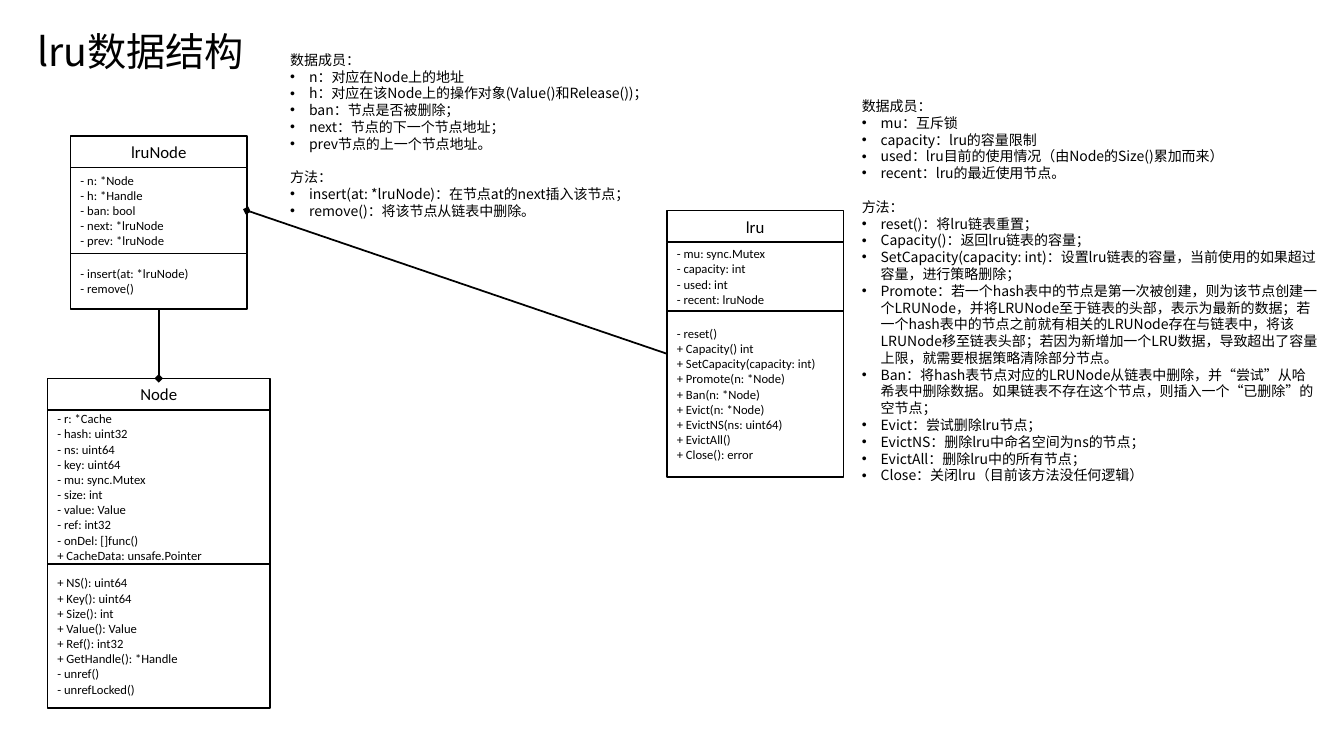
from lxml.etree import SubElement
from pptx import Presentation
from pptx.dml.color import RGBColor
from pptx.enum.lang import MSO_LANGUAGE_ID
from pptx.enum.shapes import MSO_CONNECTOR, MSO_SHAPE
from pptx.enum.text import MSO_ANCHOR, MSO_AUTO_SIZE, PP_ALIGN
from pptx.oxml.ns import qn
from pptx.util import Pt

BLACK, WHITE = "000000", "FFFFFF"
LATIN, CJK = "Calibri", "Noto Sans CJK JP"
NAME_HEIGHT = 22.5
BULLET_INDENT = 13.5

LRU_NODE_FIELDS = ["- n: *Node", "- h: *Handle", "- ban: bool", "- next: *lruNode", "- prev: *lruNode"]
LRU_NODE_METHODS = ["- insert(at: *lruNode)", "- remove()"]
LRU_FIELDS = ["- mu: sync.Mutex", "- capacity: int", "- used: int", "- recent: lruNode"]
LRU_METHODS = [
    "- reset()", "+ Capacity() int", "+ SetCapacity(capacity: int)", "+ Promote(n: *Node)",
    "+ Ban(n: *Node)", "+ Evict(n: *Node)", "+ EvictNS(ns: uint64)", "+ EvictAll()", "+ Close(): error",
]
NODE_FIELDS = [
    "- r: *Cache", "- hash: uint32", "- ns: uint64", "- key: uint64", "- mu: sync.Mutex", "- size: int",
    "- value: Value", "- ref: int32", "- onDel: []func()", "+ CacheData: unsafe.Pointer",
]
NODE_METHODS = [
    "+ NS(): uint64", "+ Key(): uint64", "+ Size(): int", "+ Value(): Value", "+ Ref(): int32",
    "+ GetHandle(): *Handle", "- unref()", "- unrefLocked()",
]
LRU_NODE_NOTES = {
    "数据成员：": [
        "n：对应在Node上的地址",
        "h：对应在该Node上的操作对象(Value()和Release())；",
        "ban：节点是否被删除；",
        "next：节点的下一个节点地址；",
        "prev节点的上一个节点地址。",
    ],
    "方法：": [
        "insert(at: *lruNode)：在节点at的next插入该节点；",
        "remove()：将该节点从链表中删除。",
    ],
}
LRU_NOTES = {
    "数据成员：": [
        "mu：互斥锁",
        "capacity：lru的容量限制",
        "used：lru目前的使用情况（由Node的Size()累加而来）",
        "recent：lru的最近使用节点。",
    ],
    "方法：": [
        "reset()：将lru链表重置；",
        "Capacity()：返回lru链表的容量；",
        "SetCapacity(capacity: int)：设置lru链表的容量，当前使用的如果超过容量，进行策略删除；",
        "Promote：若一个hash表中的节点是第一次被创建，则为该节点创建一个LRUNode，"
        "并将LRUNode至于链表的头部，表示为最新的数据；"
        "若一个hash表中的节点之前就有相关的LRUNode存在与链表中，将该LRUNode移至链表头部；"
        "若因为新增加一个LRU数据，导致超出了容量上限，就需要根据策略清除部分节点。",
        "Ban：将hash表节点对应的LRUNode从链表中删除，并“尝试”从哈希表中删除数据。"
        "如果链表不存在这个节点，则插入一个“已删除”的空节点；",
        "Evict：尝试删除lru节点；",
        "EvictNS：删除lru中命名空间为ns的节点；",
        "EvictAll：删除lru中的所有节点；",
        "Close：关闭lru（目前该方法没任何逻辑）",
    ],
}


def color(hex_string):
    return RGBColor.from_string(hex_string)


def add_line(frame, text, size, font):
    """Write text into the frame's next paragraph, reusing the empty first one."""
    first = frame.paragraphs[0]
    line = frame.add_paragraph() if first.runs else first
    run = line.add_run()
    run.text = text
    run.font.size = Pt(size)
    run.font.name = font
    run.font.color.rgb = color(BLACK)
    if font == CJK:
        run.font.language_id = MSO_LANGUAGE_ID.SIMPLIFIED_CHINESE
        SubElement(run.font._element, qn("a:ea"), typeface=font)
        line.line_spacing = Pt(size * 1.2)
    return line


def text_frame(slide, left, top, width, height):
    frame = slide.shapes.add_textbox(Pt(left), Pt(top), Pt(width), Pt(height)).text_frame
    frame.word_wrap = True
    frame.auto_size = MSO_AUTO_SIZE.SHAPE_TO_FIT_TEXT
    return frame


def add_title(slide, left, top, width, height):
    add_line(text_frame(slide, left, top, width, height), "lru数据结构", 28, CJK)


def add_notes(slide, left, top, width, height, sections):
    frame = text_frame(slide, left, top, width, height)
    for index, (heading, items) in enumerate(sections.items()):
        add_line(frame, heading, 10, CJK).space_before = Pt(12 * index)
        for item in items:
            properties = add_line(frame, item, 10, CJK)._p.get_or_add_pPr()
            properties.set("marL", str(Pt(BULLET_INDENT)))
            properties.set("indent", str(-Pt(BULLET_INDENT)))
            SubElement(properties, qn("a:buFont"), typeface="Arial")
            SubElement(properties, qn("a:buChar"), char="•")


def add_class(slide, left, top, width, name, fields, fields_height, methods, methods_height):
    """Stack the name, field and method compartments of one class."""
    compartments = [
        ([name], NAME_HEIGHT, 12, PP_ALIGN.CENTER),
        (fields, fields_height, 9, PP_ALIGN.LEFT),
        (methods, methods_height, 9, PP_ALIGN.LEFT),
    ]
    group = slide.shapes.add_group_shape()
    for lines, height, size, alignment in compartments:
        compartment = group.shapes.add_shape(
            MSO_SHAPE.FLOWCHART_PROCESS, Pt(left), Pt(top), Pt(width), Pt(height))
        compartment.shadow.inherit = False
        compartment.fill.solid()
        compartment.fill.fore_color.rgb = color(WHITE)
        compartment.line.color.rgb = color(BLACK)
        compartment.line.width = Pt(1)
        frame = compartment.text_frame
        frame.word_wrap = True
        frame.vertical_anchor = MSO_ANCHOR.MIDDLE
        for text in lines:
            add_line(frame, text, size, LATIN).alignment = alignment
        top += height
    return group


def add_link(slide, start_x, start_y, end_x, end_y):
    """Draw a line with a diamond at its end."""
    link = slide.shapes.add_connector(MSO_CONNECTOR.STRAIGHT, start_x, start_y, end_x, end_y)
    link.line.color.rgb = color(BLACK)
    link.line.width = Pt(1.25)
    SubElement(link.line._get_or_add_ln(), qn("a:tailEnd"), type="diamond")
    SubElement(link._element.spPr, qn("a:effectLst"))


def build_slide(slide):
    add_title(slide, 19.5, 15.8, 316, 41)
    lru_node = add_class(slide, 50.4, 97.2, 126, "lruNode",
                         LRU_NODE_FIELDS, 61.4, LRU_NODE_METHODS, 39.5)
    lru = add_class(slide, 476.4, 150.5, 126, "lru", LRU_FIELDS, 49, LRU_METHODS, 118.8)
    node = add_class(slide, 33.9, 270.3, 159, "Node", NODE_FIELDS, 110, NODE_METHODS, 103)

    lru_node_fields = lru_node.shapes[1]
    add_link(slide, lru.left, Pt(252.7), lru_node.left + lru_node.width,
             lru_node_fields.top + lru_node_fields.height // 2)
    center = lru_node.left + lru_node.width // 2
    add_link(slide, center, lru_node.top + lru_node.height, center, node.top)

    add_notes(slide, 200.2, 33.2, 323.3, 165, LRU_NODE_NOTES)
    add_notes(slide, 608.5, 66.2, 340.6, 358.6, LRU_NOTES)


def main():
    deck = Presentation()
    deck.slide_width, deck.slide_height = Pt(960), Pt(540)
    build_slide(deck.slides.add_slide(deck.slide_layouts[6]))
    deck.save("out.pptx")


if __name__ == "__main__":
    main()
